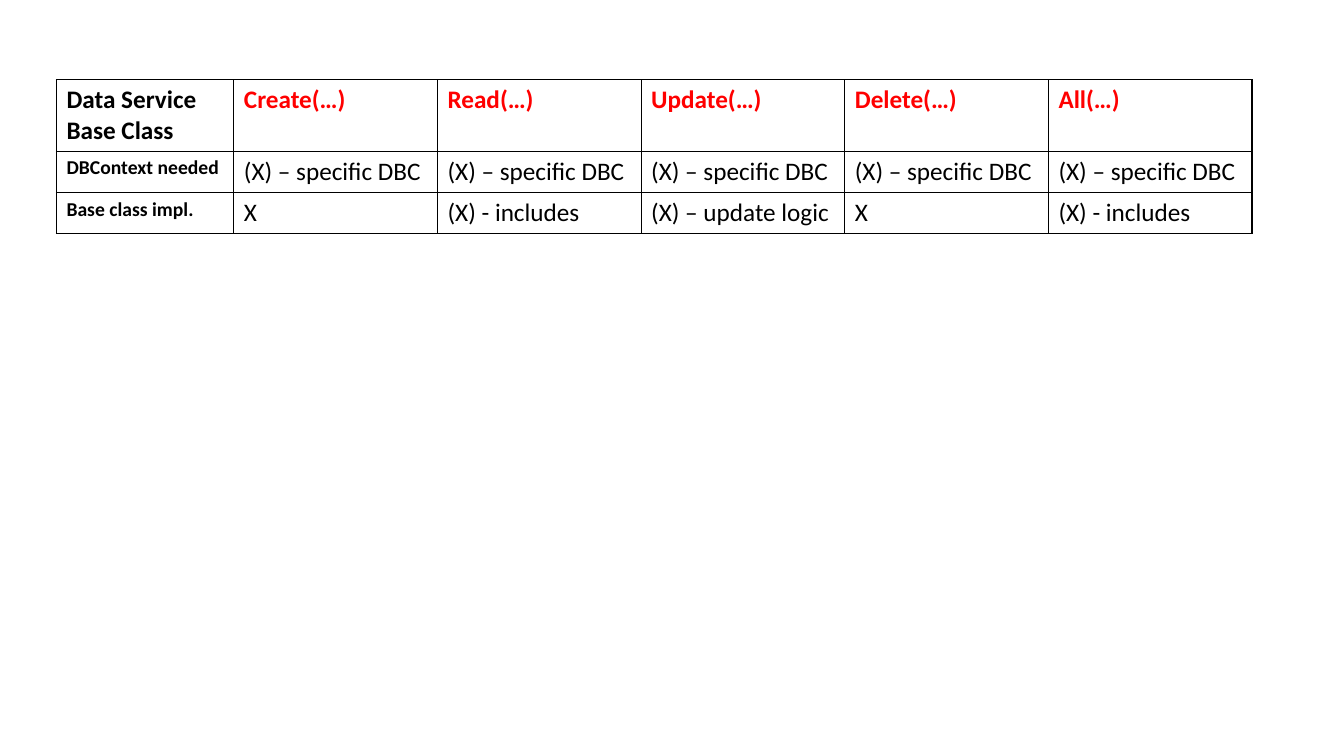
from lxml.etree import SubElement
from pptx import Presentation
from pptx.dml.color import RGBColor
from pptx.oxml.ns import qn
from pptx.util import Inches, Pt

BLACK = RGBColor(0x00, 0x00, 0x00)
RED = RGBColor(0xFF, 0x00, 0x00)
FONT = "Calibri"

SPECIFIC = "(X) – specific DBC"
SERVICE_ROWS = [
    ["Data Service Base Class", "Create(…)", "Read(…)", "Update(…)", "Delete(…)", "All(…)"],
    ["DBContext needed"] + [SPECIFIC] * 5,
    ["Base class impl.", "X", "(X) - includes", "(X) – update logic", "X", "(X) - includes"],
]
LABEL_WIDTH = 1.76
HEADER_HEIGHT, ROW_HEIGHT = 0.71, 0.41


def add_borders(cell, color, width):
    """Draw a solid line on all four sides of a cell."""
    properties = cell._tc.get_or_add_tcPr()
    for side in ("a:lnL", "a:lnR", "a:lnT", "a:lnB"):
        line = SubElement(properties, qn(side), w=str(Pt(width)))
        fill = SubElement(line, qn("a:solidFill"))
        SubElement(fill, qn("a:srgbClr"), val=str(color))


def format_cell(cell, text, row, column):
    add_borders(cell, BLACK, 1)
    cell.fill.background()
    cell.text = text
    font = cell.text_frame.paragraphs[0].font
    font.name = FONT
    # Headings and row labels are bold; method names are red
    font.bold = row == 0 or column == 0
    font.size = Pt(14 if row > 0 and column == 0 else 18)
    font.color.rgb = RED if row == 0 and column > 0 else BLACK


def add_service_table(slide, left, top, width):
    row_count, column_count = len(SERVICE_ROWS), len(SERVICE_ROWS[0])
    heights = [HEADER_HEIGHT] + [ROW_HEIGHT] * (row_count - 1)
    shape = slide.shapes.add_table(row_count, column_count, Inches(left), Inches(top),
                                   Inches(width), Inches(sum(heights)))
    table = shape.table
    table.horz_banding = False

    # Label column first, the methods share the rest equally
    method_width = (width - LABEL_WIDTH) / (column_count - 1)
    for index, column in enumerate(table.columns):
        column.width = Inches(method_width if index else LABEL_WIDTH)
    for row, height in zip(table.rows, heights):
        row.height = Inches(height)

    for row, texts in enumerate(SERVICE_ROWS):
        for column, text in enumerate(texts):
            format_cell(table.cell(row, column), text, row, column)


def main():
    presentation = Presentation()
    presentation.slide_width = Inches(13.33)
    presentation.slide_height = Inches(7.5)
    blank_layout = presentation.slide_layouts[6]
    slide = presentation.slides.add_slide(blank_layout)
    add_service_table(slide, left=0.56, top=0.79, width=11.86)
    presentation.save("out.pptx")


if __name__ == "__main__":
    main()
